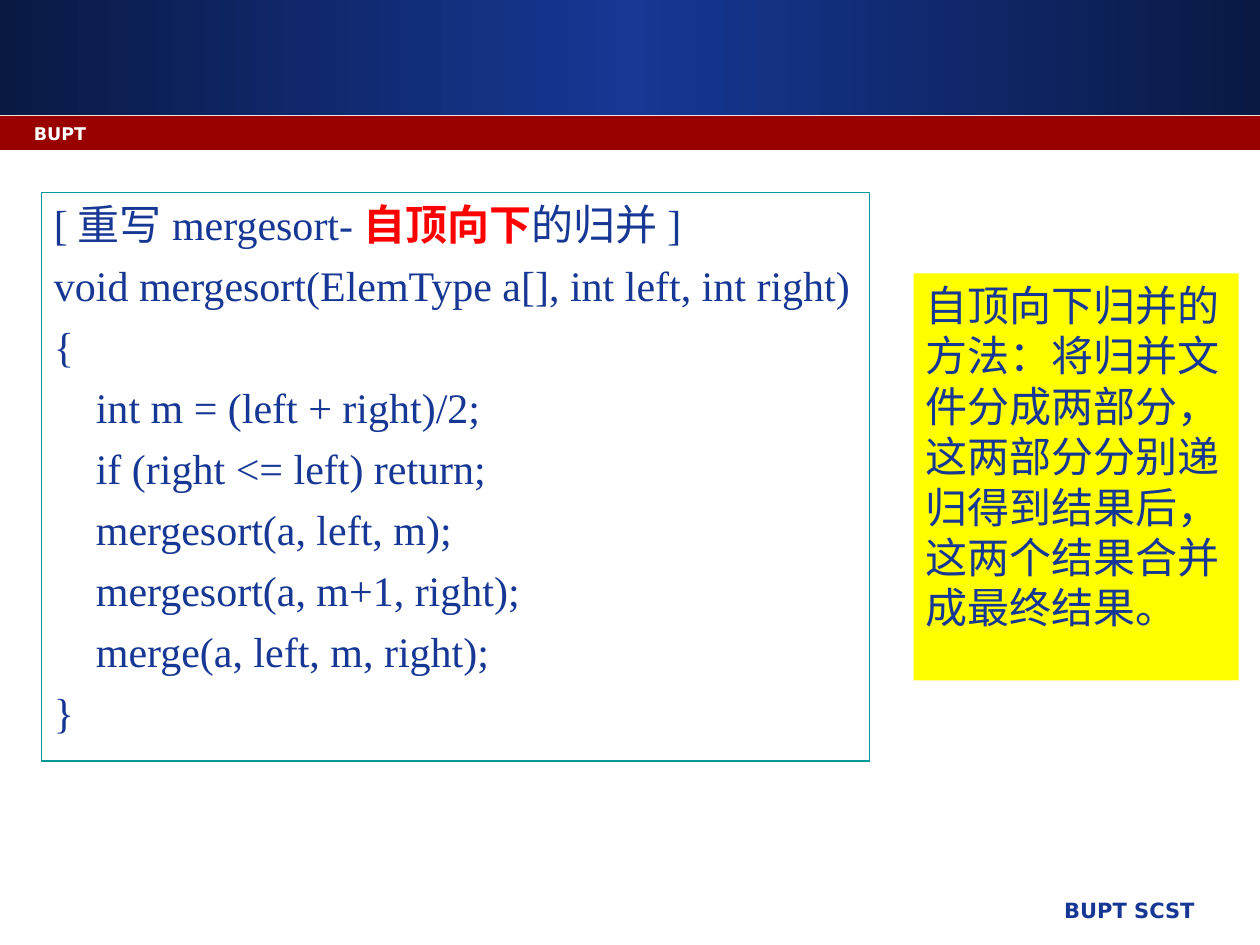
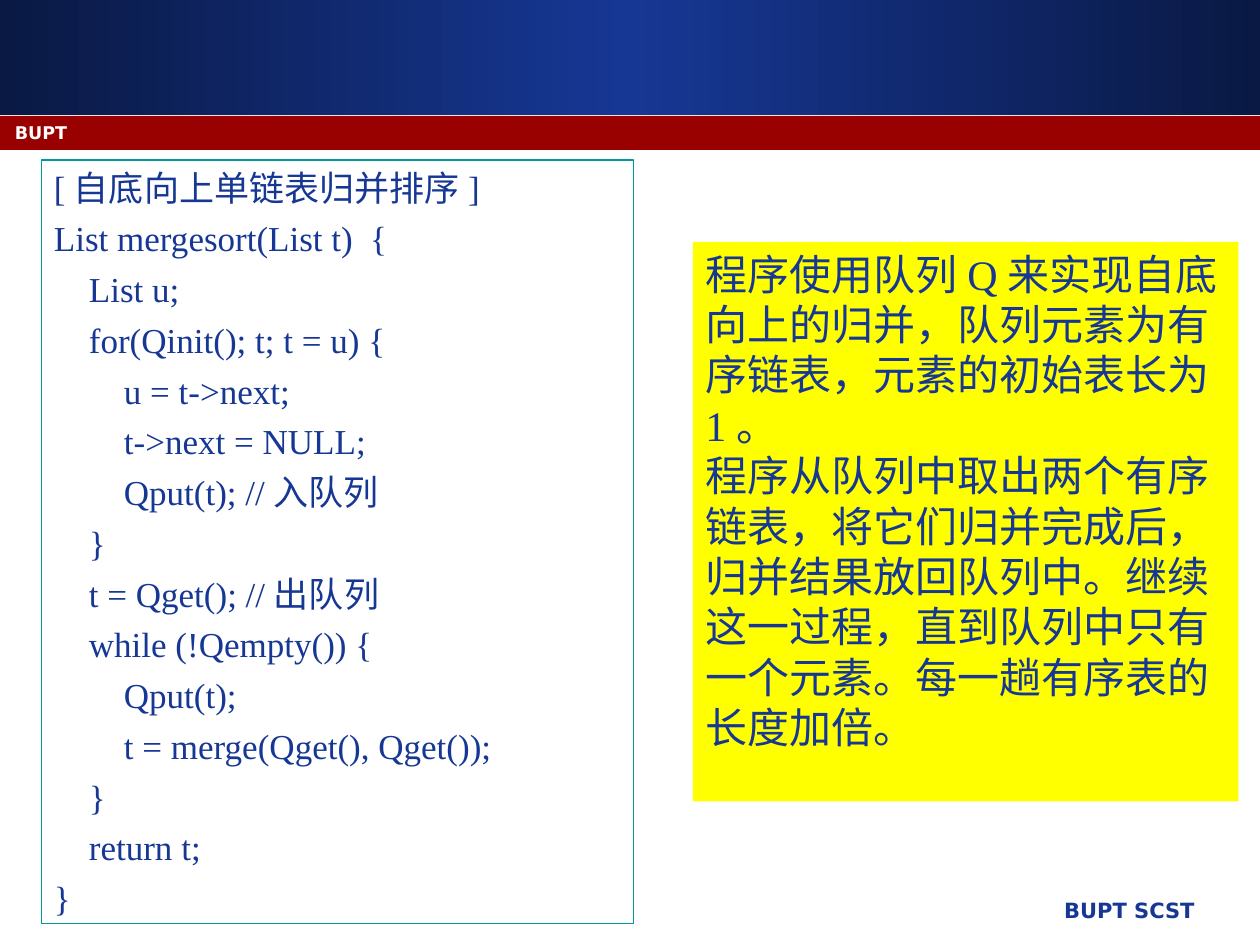
import copy

import pptx
import pptx.dml.color
import pptx.enum.shapes
import pptx.enum.text
import pptx.util

Inches = pptx.util.Inches
Pt = pptx.util.Pt
RGBColor = pptx.dml.color.RGBColor

NAVY = RGBColor(0x16, 0x37, 0x94)
DARK_NAVY = RGBColor(0x0A, 0x19, 0x44)
CRIMSON = RGBColor(0x99, 0x00, 0x00)
TEAL = RGBColor(0x00, 0x99, 0x99)
YELLOW = RGBColor(0xFF, 0xFF, 0x00)
RED = RGBColor(0xFF, 0x00, 0x00)
WHITE = RGBColor(0xFF, 0xFF, 0xFF)

BODY_FONT = "Times New Roman"
LABEL_FONT = "DejaVu Sans"
NOTE_SIZE = 24
NOTE_RIGHT = 9.83
CODE_LEFT = 0.33

TOP_DOWN_CODE = """[重写mergesort-自顶向下的归并]
void mergesort(ElemType a[], int left, int right)
{
    int m = (left + right)/2;
    if (right <= left) return;
    mergesort(a, left, m);
    mergesort(a, m+1, right);
    merge(a, left, m, right);
}"""
TOP_DOWN_NOTE = "自顶向下归并的方法：将归并文件分成两部分，这两部分分别递归得到结果后，这两个结果合并成最终结果。"

BOTTOM_UP_CODE = """[自底向上单链表归并排序]
List mergesort(List t)  {
    List u;
    for(Qinit(); t; t = u) {
        u = t->next;
        t->next = NULL;
        Qput(t); //入队列
    }
    t = Qget(); //出队列
    while (!Qempty()) {
        Qput(t);
        t = merge(Qget(), Qget());
    }
    return t;
}"""
BOTTOM_UP_NOTE = """程序使用队列Q来实现自底向上的归并，队列元素为有序链表，元素的初始表长为1。
程序从队列中取出两个有序链表，将它们归并完成后，归并结果放回队列中。继续这一过程，直到队列中只有一个元素。每一趟有序表的长度加倍。"""


def add_panel(page, left, top, width, height, fill=None, line=None):
    panel = page.shapes.add_shape(
        pptx.enum.shapes.MSO_SHAPE.RECTANGLE,
        Inches(left), Inches(top), Inches(width), Inches(height))
    panel.shadow.inherit = False
    if fill is None:
        panel.fill.background()
    else:
        panel.fill.solid()
        panel.fill.fore_color.rgb = fill
    if line is None:
        panel.line.fill.background()
    else:
        panel.line.color.rgb = line
        panel.line.width = Pt(0.75)
    return panel


def style_span(span, size, color, font=BODY_FONT, bold=False):
    span.font.size = Pt(size)
    span.font.color.rgb = color
    span.font.name = font
    span.font.bold = bold


def write_text(box, text, size, color=NAVY, font=BODY_FONT, bold=False,
               align=pptx.enum.text.PP_ALIGN.LEFT, gap=0):
    frame = box.text_frame
    frame.word_wrap = True
    frame.vertical_anchor = pptx.enum.text.MSO_ANCHOR.TOP
    frame.text = text
    for index, para in enumerate(frame.paragraphs):
        para.alignment = align
        para.space_before = Pt(gap if index else 0)
        for span in para.runs:
            style_span(span, size, color, font, bold)


def emphasize(para, words, size):
    before, after = para.text.split(words)
    para.runs[0].text = before
    for text, color, bold in ((words, RED, True), (after, NAVY, False)):
        span = para.add_run()
        span.text = text
        style_span(span, size, color, bold=bold)


def add_label(page, text, left, top, width, height, size, color, align):
    box = page.shapes.add_textbox(
        Inches(left), Inches(top), Inches(width), Inches(height))
    write_text(box, text, size, color, LABEL_FONT, True, align)


def add_header_band(page):
    band = add_panel(page, 0, 0, 10, 0.91)
    band.fill.gradient()
    band.fill.gradient_angle = 0
    stops = band.fill.gradient_stops
    first = stops[0]._gs
    first.addnext(copy.deepcopy(first))
    colors = (DARK_NAVY, NAVY, DARK_NAVY)
    for index, (stop, color) in enumerate(zip(band.fill.gradient_stops, colors)):
        stop.position = index / 2
        stop.color.rgb = color


def add_page(deck, school_left, school_top):
    page = deck.slides.add_slide(deck.slide_layouts[6])
    align = pptx.enum.text.PP_ALIGN
    add_header_band(page)
    add_panel(page, 0, 0.92, 10, 0.27, CRIMSON)
    add_label(page, "BUPT SCST", 4.21, 7.07, 5.37, 0.35, 12, NAVY, align.RIGHT)
    add_label(page, "BUPT", school_left, school_top, 9.25, 0.25, 10, WHITE,
              align.LEFT)
    return page


def add_code(page, code, top, width, height, size):
    box = add_panel(page, CODE_LEFT, top, width, height, line=TEAL)
    write_text(box, code, size, gap=size / 4)
    return box


def add_note(page, note, left, top, height):
    box = add_panel(page, left, top, NOTE_RIGHT - left, height, YELLOW)
    write_text(box, note, NOTE_SIZE)


def main():
    deck = pptx.Presentation()
    deck.slide_width = Inches(10)
    deck.slide_height = Inches(7.5)

    top_down = add_page(deck, 0.17, 0.93)
    code_box = add_code(top_down, TOP_DOWN_CODE, 1.53, 6.57, 4.51, 24)
    emphasize(code_box.text_frame.paragraphs[0], "自顶向下", 24)
    add_note(top_down, TOP_DOWN_NOTE, 7.25, 2.17, 3.23)

    bottom_up = add_page(deck, 0.02, 0.92)
    add_code(bottom_up, BOTTOM_UP_CODE, 1.27, 4.7, 6.06, 20)
    add_note(bottom_up, BOTTOM_UP_NOTE, 5.5, 1.92, 4.44)

    deck.save("out.pptx")


if __name__ == "__main__":
    main()
